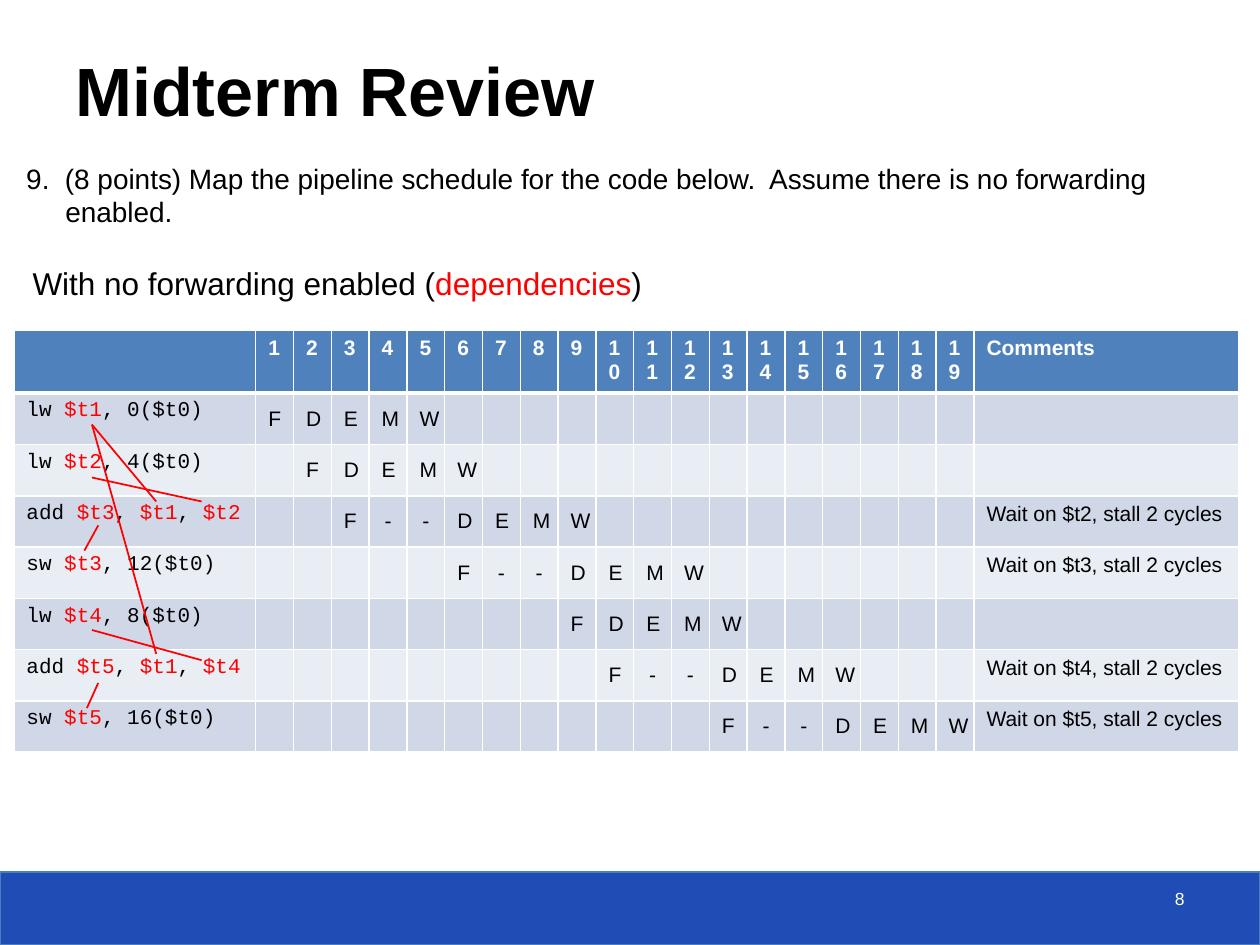
import pptx
import pptx.dml.color
import pptx.enum.shapes
import pptx.enum.text
import pptx.oxml
import pptx.oxml.ns
import pptx.util
from lxml import etree

Inches = pptx.util.Inches
Pt = pptx.util.Pt
RGBColor = pptx.dml.color.RGBColor
Align = pptx.enum.text.PP_ALIGN
Anchor = pptx.enum.text.MSO_ANCHOR
qn = pptx.oxml.ns.qn

BLACK = RGBColor(0x00, 0x00, 0x00)
WHITE = RGBColor(0xFF, 0xFF, 0xFF)
RED = RGBColor(0xFF, 0x00, 0x00)
FOOTER_BLUE = RGBColor(0x20, 0x4D, 0xB5)
FOOTER_EDGE = RGBColor(0x4B, 0x7E, 0xBC)
HEADER_BLUE = RGBColor(0x4F, 0x81, 0xBD)
BANDS = [RGBColor(0xD0, 0xD8, 0xE8), RGBColor(0xE9, 0xED, 0xF4)]

CYCLES = 19
# Code with dependent registers between asterisks, first cycle, stages, comment
SCHEDULE = [
    ("lw *$t1*, 0($t0)", 1, "FDEMW", ""),
    ("lw *$t2*, 4($t0)", 2, "FDEMW", ""),
    ("add *$t3*, *$t1*, *$t2*", 3, "F--DEMW", "Wait on $t2, stall 2 cycles"),
    ("sw *$t3*, 12($t0)", 6, "F--DEMW", "Wait on $t3, stall 2 cycles"),
    ("lw *$t4*, 8($t0)", 9, "FDEMW", ""),
    ("add *$t5*, *$t1*, *$t4*", 10, "F--DEMW", "Wait on $t4, stall 2 cycles"),
    ("sw *$t5*, 16($t0)", 13, "F--DEMW", "Wait on $t5, stall 2 cycles"),
]
DEPENDENCIES = [
    (0.73, 3.37, 1.24, 3.98),
    (0.73, 3.79, 1.6, 3.98),
    (0.78, 4.17, 0.67, 4.37),
    (0.73, 5, 1.6, 5.24),
    (0.78, 5.42, 0.69, 5.62),
    (0.73, 3.37, 1.24, 5.19),
]


class SlideBuilder:
    """Holds the text style and the slide being filled."""

    def __init__(self, page):
        self.page = page
        self.style = {"name": "Arial", "size": Pt(12), "bold": False}

    def fill_para(self, para, text, color=BLACK, align=Align.LEFT, **changes):
        """Add text to a paragraph; parts between asterisks become red."""
        para.alignment = align
        for index, part in enumerate(text.split("*")):
            if not part:
                continue
            span = para.add_run()
            span.text = part
            for key, value in {**self.style, **changes}.items():
                setattr(span.font, key, value)
            span.font.color.rgb = RED if index % 2 else color

    def text(self, place, lines, wrap=True, anchor=Anchor.TOP, **changes):
        box = self.page.shapes.add_textbox(*map(Inches, place))
        frame = box.text_frame
        frame.word_wrap = wrap
        frame.vertical_anchor = anchor
        for index, line in enumerate(lines):
            para = frame.add_paragraph() if index else frame.paragraphs[0]
            self.fill_para(para, line, **changes)
        return box

    def bar(self, place, fill, edge):
        shape = self.page.shapes.add_shape(
            pptx.enum.shapes.MSO_SHAPE.RECTANGLE, *map(Inches, place))
        shape.shadow.inherit = False
        shape.fill.solid()
        shape.fill.fore_color.rgb = fill
        shape.line.color.rgb = edge
        shape.line.width = Pt(0.75)

    def line(self, ends, color):
        connector = self.page.shapes.add_connector(
            pptx.enum.shapes.MSO_CONNECTOR.STRAIGHT, *map(Inches, ends))
        connector.line.color.rgb = color
        connector.line.width = Pt(1)
        etree.SubElement(connector._element.spPr, qn("a:effectLst"))

    def table(self, place, widths, heights):
        frame = self.page.shapes.add_table(
            len(heights), len(widths), *map(Inches, place))
        grid = frame.table
        for column, width in zip(grid.columns, widths):
            column.width = Inches(width)
        for row, height in zip(grid.rows, heights):
            row.height = Inches(height)
        for index, row in enumerate(grid.rows):
            fill = BANDS[(index - 1) % 2] if index else HEADER_BLUE
            edges = {"lnL": 1, "lnR": 1, "lnT": 3 if index == 1 else 1,
                     "lnB": 1 if index else 3}
            for cell in row.cells:
                self.borders(cell, edges)
                cell.fill.solid()
                cell.fill.fore_color.rgb = fill
        return grid

    def borders(self, cell, edges):
        properties = cell._tc.get_or_add_tcPr()
        for tag, width in edges.items():
            edge = etree.SubElement(properties, qn("a:" + tag), w=str(Pt(width)))
            fill = etree.SubElement(edge, qn("a:solidFill"))
            etree.SubElement(fill, qn("a:srgbClr"), val=str(WHITE))

    def cell(self, cell, text, anchor=Anchor.TOP, **changes):
        cell.vertical_anchor = anchor
        self.fill_para(cell.text_frame.paragraphs[0], text, **changes)


def main():
    deck = pptx.Presentation()
    deck.slide_width, deck.slide_height = Inches(10), Inches(7.5)
    builder = SlideBuilder(deck.slides.add_slide(deck.slide_layouts[6]))

    # Footer
    builder.bar((0, 6.92, 10, 0.58), FOOTER_BLUE, FOOTER_EDGE)
    builder.text((7.17, 7, 2.33, 0.33), ["8"], size=Pt(10), color=WHITE,
                 align=Align.RIGHT)

    # Pipeline schedule
    grid = builder.table((0.11, 2.62, 9.72, 3.34),
                         [1.92] + [0.3] * CYCLES + [2.1],
                         [0.49] + [2.85 / len(SCHEDULE)] * len(SCHEDULE))
    headings = [str(cycle) for cycle in range(1, CYCLES + 1)] + ["Comments"]
    for column, heading in enumerate(headings, 1):
        builder.cell(grid.cell(0, column), heading, color=WHITE, bold=True)
    for row, (code, start, stages, comment) in enumerate(SCHEDULE, 1):
        builder.cell(grid.cell(row, 0), code, name="Courier New")
        for column, stage in enumerate(stages, start):
            builder.cell(grid.cell(row, column), stage, Anchor.MIDDLE,
                         align=Align.CENTER)
        if comment:
            builder.cell(grid.cell(row, CYCLES + 1), comment)

    # Dependencies between instructions
    for ends in DEPENDENCIES:
        builder.line(ends, RED)
    builder.text((0.16, 2.05, 5.08, 0.4),
                 ["With no forwarding enabled (*dependencies*)"],
                 wrap=False, size=Pt(18))

    # Title on a translucent panel
    title = builder.text((0.5, 0.25, 9.29, 0.83), ["Midterm Review"],
                         anchor=Anchor.BOTTOM, size=Pt(39), bold=True)
    title.fill.solid()
    title.fill.fore_color.rgb = WHITE
    panel_color = title._element.spPr.find(".//" + qn("a:srgbClr"))
    etree.SubElement(panel_color, qn("a:alpha"), val="70000")

    # Question
    question = builder.text(
        (0.11, 1.23, 9.58, 0.64),
        ["9.  (8 points) Map the pipeline schedule for the code below.  "
         "Assume there is no forwarding", "enabled."], size=Pt(16))
    second_line = question.text_frame.paragraphs[1]
    second_line._p.get_or_add_pPr().set("marL", str(Inches(0.31)))

    deck.save("out.pptx")


if __name__ == "__main__":
    main()
